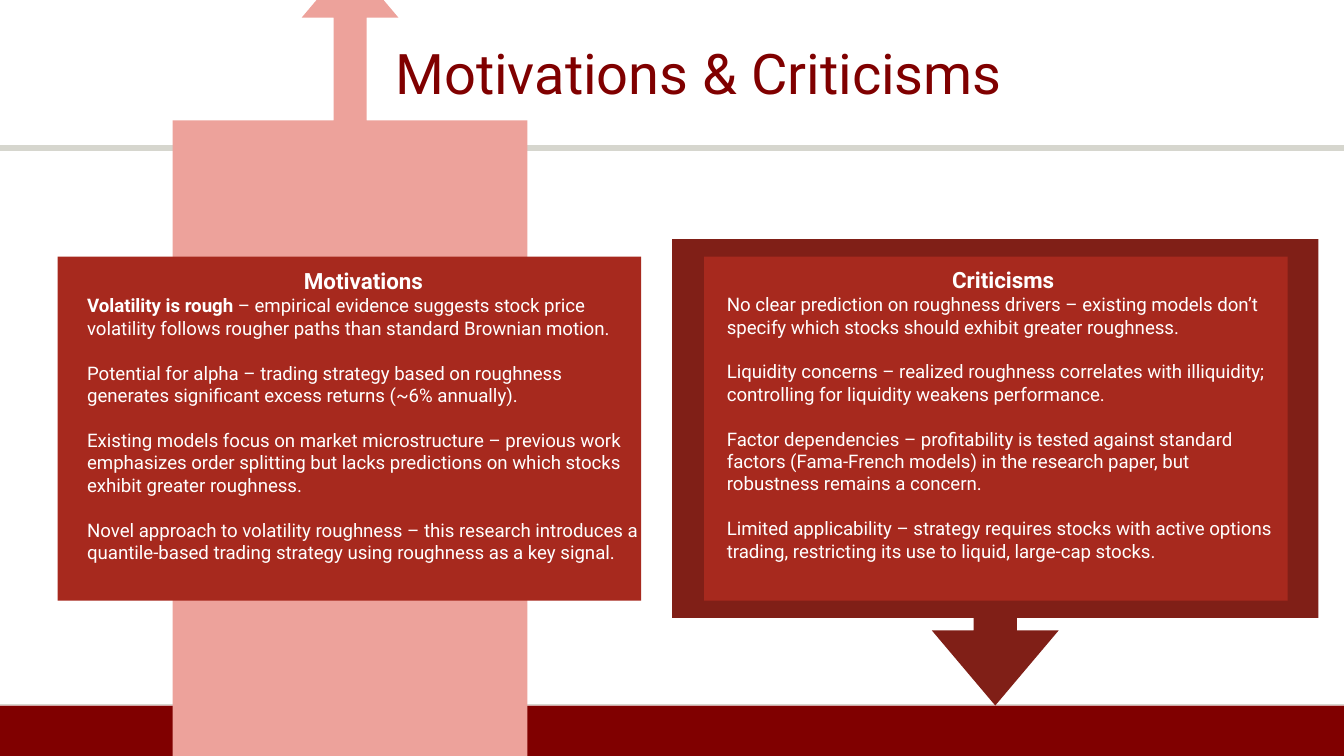
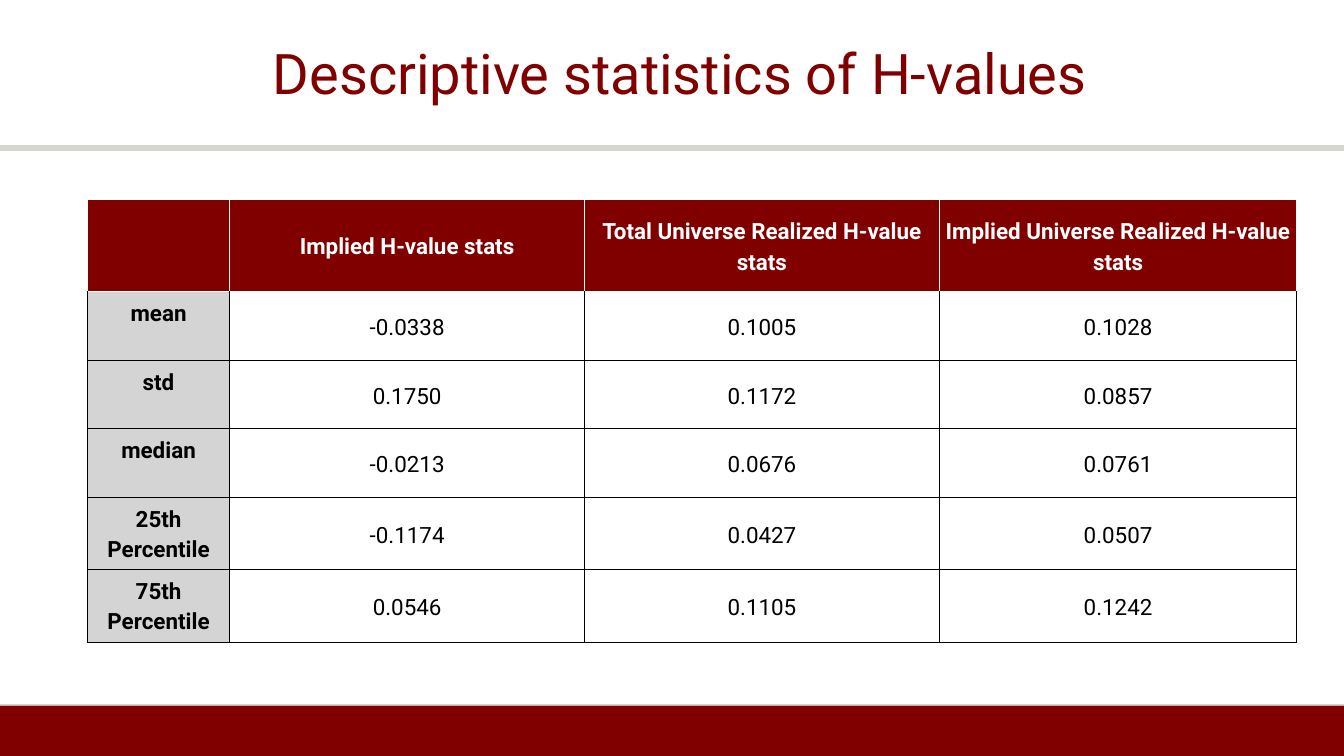
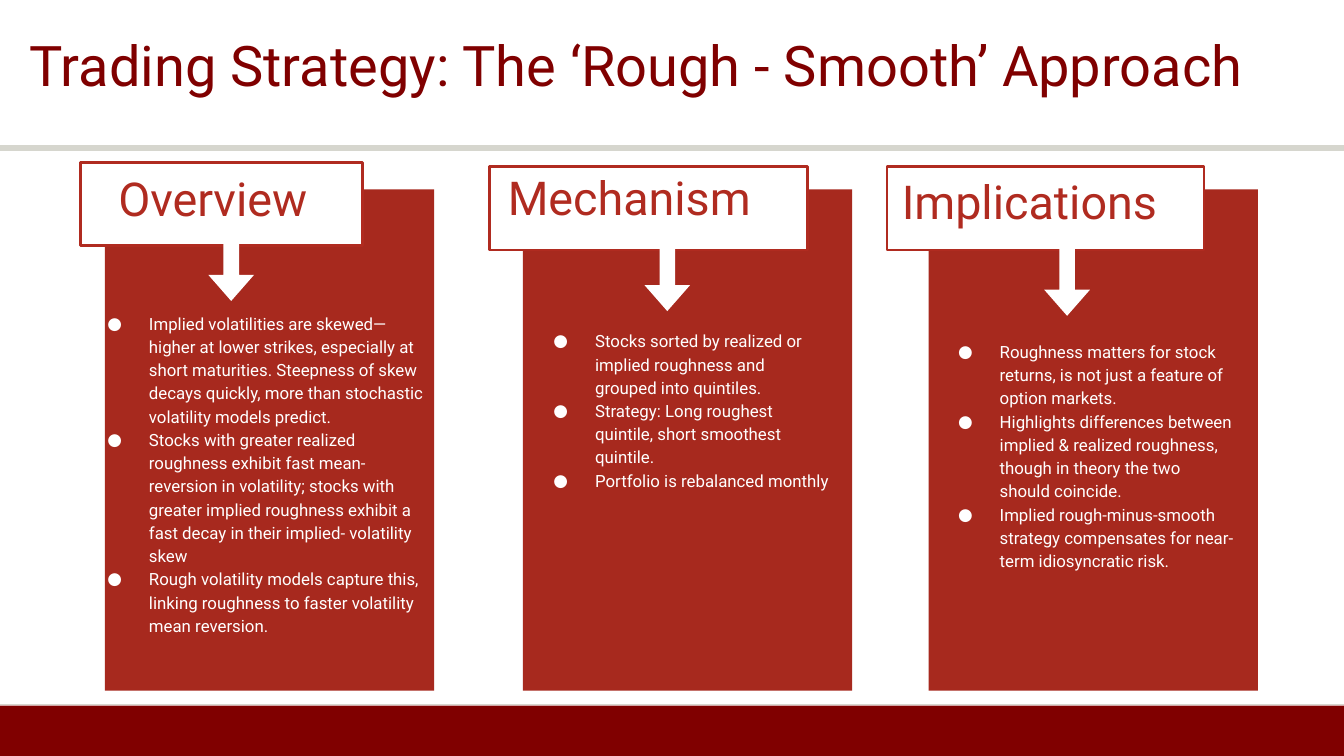
from lxml import etree
from pptx import Presentation
from pptx.dml.color import RGBColor
from pptx.enum.shapes import MSO_CONNECTOR, MSO_SHAPE
from pptx.enum.text import MSO_ANCHOR, PP_ALIGN
from pptx.oxml.ns import qn
from pptx.util import Inches, Pt

RECT = MSO_SHAPE.RECTANGLE
SNIP = MSO_SHAPE.SNIP_1_RECTANGLE
ARROW = MSO_SHAPE.RIGHT_ARROW
CALLOUT = MSO_SHAPE.RIGHT_ARROW_CALLOUT
STRAIGHT = MSO_CONNECTOR.STRAIGHT
TOP, MIDDLE = MSO_ANCHOR.TOP, MSO_ANCHOR.MIDDLE
LEFT, CENTER = PP_ALIGN.LEFT, PP_ALIGN.CENTER

# Shared look
FONT = "Roboto"
MAROON, BRICK, RUST = "800000", "A7291E", "B02B20"
DARK, PINK = "801F17", "EDA29B"
RULE, GRAY, WHITE, BLACK = "D6D6CE", "D4D4D4", "FFFFFF", "000000"
WIDE = 10

# Text formats: "para" and "font" hold attributes to set
HEAD = {"para": {"alignment": CENTER, "line_spacing": 1.15},
        "font": {"size": Pt(12), "bold": True}, "color": WHITE}
BODY = {"para": {"alignment": LEFT}, "font": {"size": Pt(10)}, "color": WHITE}
GAP = {**BODY, "para": {"alignment": LEFT, "space_before": Pt(12)}}
ITEM = {"para": {"line_spacing": 1.15}, "font": {"size": Pt(9)},
        "color": WHITE, "bullet": True}
LABEL = {"para": {"alignment": LEFT}, "font": {"size": Pt(25)}, "color": RUST}
CELL = {**HEAD, "font": {"size": Pt(12), "bold": False}, "color": BLACK}
SIDE = {**HEAD, "color": BLACK}

MOTIVES = [
    "Potential for alpha – trading strategy based on roughness generates "
    "significant excess returns (~6% annually).",
    "Existing models focus on market microstructure – previous work emphasizes "
    "order splitting but lacks predictions on which stocks exhibit greater roughness.",
    "Novel approach to volatility roughness – this research introduces a "
    "quantile-based trading strategy using roughness as a key signal.",
]
DOUBTS = [
    "Liquidity concerns – realized roughness correlates with illiquidity; "
    "controlling for liquidity weakens performance.",
    "Factor dependencies – profitability is tested against standard factors "
    "(Fama-French models) in the research paper, but robustness remains a concern.",
    "Limited applicability – strategy requires stocks with active options "
    "trading, restricting its use to liquid, large-cap stocks.",
]
STATS = [
    ["", "Implied H-value stats", "Total Universe Realized H-value stats",
     "Implied Universe Realized H-value stats"],
    ["mean", "-0.0338", "0.1005", "0.1028"],
    ["std", "0.1750", "0.1172", "0.0857"],
    ["median", "-0.0213", "0.0676", "0.0761"],
    ["25th Percentile", "-0.1174", "0.0427", "0.0507"],
    ["75th Percentile", "0.0546", "0.1105", "0.1242"],
]
# Each panel: heading, its text box, inset and anchor, then card left,
# tab box, arrow box, list box and list items
PANELS = [
    ("Mechanism", (3.68, 1.16, 2.45, 0.7), 0.1, TOP,
     3.89, (3.64, 1.24, 2.37, 0.62), (4.71, 1.89, 0.51, 0.34),
     (3.83, 2.34, 2.44, 2.41),
     ["Stocks sorted by realized or implied roughness and grouped into quintiles.",
      "Strategy: Long roughest quintile, short smoothest quintile.",
      "Portfolio is rebalanced monthly"]),
    ("Implications", (6.52, 1.16, 2.73, 0.67), 0.19, MIDDLE,
     6.91, (6.6, 1.24, 2.36, 0.62), (7.68, 1.92, 0.52, 0.34),
     (6.84, 2.42, 2.44, 2.41),
     ["Roughness matters for stock returns, is not just a feature of option markets.",
      "Highlights differences between implied & realized roughness, though in "
      "theory the two should coincide.",
      "Implied rough-minus-smooth strategy compensates for near-term "
      "idiosyncratic risk."]),
    ("Overview", (0.61, 1.16, 2.59, 0.62), 0.27, MIDDLE,
     0.78, (0.6, 1.21, 2.1, 0.62), (1.49, 1.84, 0.46, 0.34),
     (0.51, 2.21, 2.79, 2.41),
     ["Implied volatilities are skewed—higher at lower strikes, especially at "
      "short maturities. Steepness of skew decays quickly, more than stochastic "
      "volatility models predict.",
      "Stocks with greater realized roughness exhibit fast mean- reversion in "
      "volatility; stocks with greater implied roughness exhibit a fast decay in "
      "their implied- volatility skew",
      "Rough volatility models capture this, linking roughness to faster "
      "volatility mean reversion."]),
]


# Helpers
def rgb(code):
    return RGBColor.from_string(code)


def place(box):
    return [Inches(v) for v in box]


def assign(thing, values):
    for key, value in values.items():
        setattr(thing, key, value)


def inset(thing, sides):
    names = ("margin_left", "margin_top", "margin_right", "margin_bottom")
    assign(thing, dict(zip(names, place(sides))))


def mark(para):
    props = para._p.get_or_add_pPr()
    props.set("marL", str(Inches(0.5)))
    props.set("indent", str(Inches(-0.31)))
    tint = etree.SubElement(props, qn("a:buClr"))
    etree.SubElement(tint, qn("a:srgbClr")).set("val", WHITE)
    etree.SubElement(props, qn("a:buSzPts")).set("val", "900")
    etree.SubElement(props, qn("a:buFont")).set("typeface", FONT)
    etree.SubElement(props, qn("a:buChar")).set("char", "●")


def write(frame, paras):
    """Fill a frame from (text, format) pairs; a list of texts starts in bold."""
    for i, (text, form) in enumerate(paras):
        para = frame.add_paragraph() if i else frame.paragraphs[0]
        if form.get("bullet"):
            mark(para)
        assign(para, form["para"])
        parts = [text] if isinstance(text, str) else text
        for j, part in enumerate(parts):
            run = para.add_run()
            run.text = part
            assign(run.font, {"name": FONT, **form["font"]})
            run.font.color.rgb = rgb(form["color"])
            if len(parts) > 1:
                run.font.bold = j == 0


def label(slide, box, paras, sides=(0.1, 0.1, 0.1, 0.1), anchor=TOP):
    frame = slide.shapes.add_textbox(*place(box)).text_frame
    assign(frame, {"word_wrap": True, "vertical_anchor": anchor})
    inset(frame, sides)
    write(frame, paras)


def block(slide, kind, box, fill, line=None, turn=0, adjust=()):
    shape = slide.shapes.add_shape(kind, *place(box))
    shape.shadow.inherit = False
    shape.rotation = turn
    for i, value in enumerate(adjust):
        shape.adjustments[i] = value
    shape.fill.solid()
    shape.fill.fore_color.rgb = rgb(fill)
    if line:
        shape.line.color.rgb = rgb(line)
        shape.line.width = Pt(1.5)
    else:
        shape.line.fill.background()


def rule(slide, top, width):
    line = slide.shapes.add_connector(STRAIGHT, *place((0, top, WIDE, top)))
    line.line.color.rgb = rgb(RULE)
    line.line.width = Pt(width)
    etree.SubElement(line._element.spPr, qn("a:effectLst"))


def start(deck, title, box, align=CENTER, left=0):
    """Add a slide with the shared rule, footer band and title."""
    slide = deck.slides.add_slide(deck.slide_layouts[6])
    rule(slide, 1.1, 3)
    block(slide, RECT, (0, 5.25, WIDE, 0.38), MAROON)
    rule(slide, 5.24, 0.75)
    form = {"para": {"alignment": align, "line_spacing": 0.9},
            "font": {"size": Pt(30)}, "color": MAROON}
    label(slide, box, [(title, form)], (left, 0.05, 0, 0.05), MIDDLE)
    return slide


def edge(cell, colors):
    """Draw cell borders, colours in the order left, right, top, bottom."""
    props = cell._tc.get_or_add_tcPr()
    for i, (side, color) in enumerate(zip("LRTB", colors)):
        line = etree.Element(qn("a:ln" + side), w=str(Pt(0.75)))
        fill = etree.SubElement(line, qn("a:solidFill"))
        etree.SubElement(fill, qn("a:srgbClr")).set("val", color)
        props.insert(i, line)


def grid(slide, rows, left, top, widths, heights):
    frame = slide.shapes.add_table(
        len(rows), len(widths),
        *place((left, top, sum(widths), sum(heights))))
    table = frame.table
    assign(table, {"first_row": False, "horz_banding": False})
    for col, width in zip(table.columns, widths):
        col.width = Inches(width)
    for row, height in zip(table.rows, heights):
        row.height = Inches(height)
    for r, row in enumerate(rows):
        for c, text in enumerate(row):
            cell = table.cell(r, c)
            side = r > 0 and c == 0
            form = HEAD if r == 0 else SIDE if side else CELL
            inset(cell, [0.04] * 4)
            cell.vertical_anchor = TOP if side else MIDDLE
            if r == 0 or side:
                cell.fill.solid()
                cell.fill.fore_color.rgb = rgb(GRAY if side else MAROON)
            else:
                cell.fill.background()
            if text:
                write(cell.text_frame, [(text, form)])
            base = BLACK if r else WHITE
            edge(cell, (base, base, BLACK if r > 1 else WHITE, base))


def panel(slide, head, spot, pad, anchor, left, tab, arrow, box, items):
    block(slide, RECT, (left, 1.41, 2.45, 3.73), BRICK)
    block(slide, RECT, tab, WHITE, RUST)
    label(slide, spot, [(head, LABEL)], (pad, 0.1, 0.1, 0.1), anchor)
    block(slide, ARROW, arrow, WHITE, turn=90, adjust=(0.342, 0.57))
    label(slide, box, [(item, ITEM) for item in items])


def side(slide, color, frame, turn, card, box, head, first, rest):
    """One side of the debate: arrow callout, card and its text."""
    block(slide, CALLOUT, frame, color, turn=turn,
          adjust=(0.093, 0.136, 0.161, 0.812))
    block(slide, SNIP, card, BRICK, adjust=(0,))
    label(slide, box, [(head, HEAD), (first, BODY)] + [(t, GAP) for t in rest])


# Slides
def debate(deck):
    slide = start(deck, "Motivations & Criticisms", (0.2, 0, WIDE, 1.13))
    side(slide, PINK, (-0.56, 1.55, 6.33, 2.64), 270,
         (0.43, 1.91, 4.34, 2.56), (0.55, 1.86, 4.31, 2.14), "Motivations",
         ["Volatility is rough", " – empirical evidence suggests stock price "
          "volatility follows rougher paths than standard Brownian motion."],
         MOTIVES)
    side(slide, DARK, (5.67, 1.11, 3.47, 4.81), 90,
         (5.24, 1.91, 4.34, 2.56), (5.31, 1.85, 4.31, 3.33), "Criticisms",
         "No clear prediction on roughness drivers – existing models don’t "
         "specify which stocks should exhibit greater roughness.", DOUBTS)


def stats(deck):
    slide = start(deck, "Descriptive statistics of H-values",
                  (0, 0, WIDE, 1.13), left=0.12)
    grid(slide, STATS, 0.65, 1.48, [1.06, 2.64, 2.64, 2.66],
         [0.69] + [0.51] * 5)


def plan(deck):
    slide = start(deck, "Trading Strategy: The ‘Rough - Smooth’ Approach",
                  (0.22, 0, 10.24, 1.02), LEFT)
    for spec in PANELS:
        panel(slide, *spec)


def main():
    deck = Presentation()
    deck.slide_width = Inches(WIDE)
    deck.slide_height = Inches(WIDE * 9 / 16)
    for build in (debate, stats, plan):
        build(deck)
    deck.save("out.pptx")


if __name__ == "__main__":
    main()
